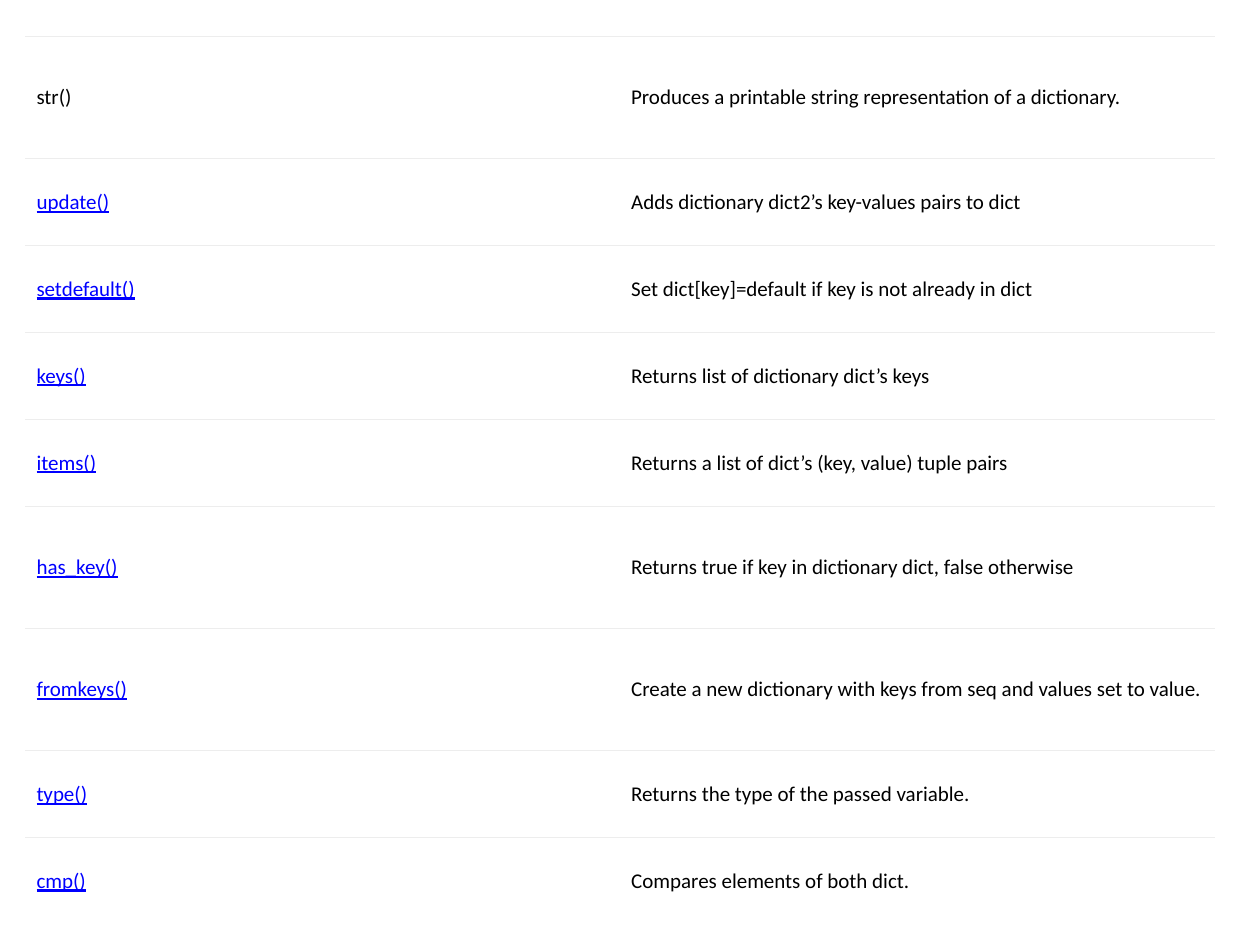
from dataclasses import dataclass

from lxml import etree
from pptx import Presentation
from pptx import util as u
from pptx.dml.color import RGBColor
from pptx.enum import text
from pptx.oxml import ns


@dataclass(frozen=True)
class Theme:
    font: str = "Calibri"
    size: float = 12
    ink: str = "000000"
    link: str = "0000FF"
    paper: str = "FFFFFF"
    rule: str = "EDEDED"
    rule_width: float = 0.75


THEME = Theme()
TALL, NORMAL = 0.97, 0.69
COLUMN_WIDTH = 4.72

# Function, description, row height
METHODS = [
    ("str()", "Produces a printable string representation of a dictionary.", TALL),
    ("update()", "Adds dictionary dict2’s key-values pairs to dict", NORMAL),
    ("setdefault()", "Set dict[key]=default if key is not already in dict", NORMAL),
    ("keys()", "Returns list of dictionary dict’s keys", NORMAL),
    ("items()", "Returns a list of dict’s (key, value) tuple pairs", NORMAL),
    ("has_key()", "Returns true if key in dictionary dict, false otherwise", TALL),
    ("fromkeys()", "Create a new dictionary with keys from seq and values set to value.", TALL),
    ("type()", "Returns the type of the passed variable.", NORMAL),
    ("cmp()", "Compares elements of both dict.", NORMAL),
]


def set_borders(cell, ruled):
    """Rule the named sides (T, B) and clear the others."""
    tc_pr = cell._tc.get_or_add_tcPr()
    for i, side in enumerate("LRTB"):
        ln = etree.Element(ns.qn(f"a:ln{side}"), w=str(u.Pt(THEME.rule_width)))
        if side in ruled:
            fill = etree.SubElement(ln, ns.qn("a:solidFill"))
            etree.SubElement(fill, ns.qn("a:srgbClr"), val=THEME.rule)
        else:
            etree.SubElement(ln, ns.qn("a:noFill"))
        tc_pr.insert(i, ln)


def fill_cell(cell, words, linked, ruled):
    cell.fill.solid()
    cell.fill.fore_color.rgb = RGBColor.from_string(THEME.paper)
    cell.vertical_anchor = text.MSO_ANCHOR.MIDDLE
    cell.margin_left = cell.margin_right = u.Inches(0.09)
    cell.margin_top = cell.margin_bottom = u.Inches(0.05)
    p = cell.text_frame.paragraphs[0]
    p.text = words
    font = p.runs[0].font
    font.name, font.size = THEME.font, u.Pt(THEME.size)
    font.bold, font.underline = False, linked
    font.color.rgb = RGBColor.from_string(THEME.link if linked else THEME.ink)
    set_borders(cell, ruled)


def add_method_table(s, methods, left, top):
    height = sum(row_height for _, _, row_height in methods)
    frame = s.shapes.add_table(len(methods), 2, u.Inches(left), u.Inches(top),
                               u.Inches(2 * COLUMN_WIDTH), u.Inches(height))
    table = frame.table
    table.first_row = table.horz_banding = False
    for column in table.columns:
        column.width = u.Inches(COLUMN_WIDTH)
    for i, (name, description, row_height) in enumerate(methods):
        table.rows[i].height = u.Inches(row_height)
        # The last row stays open at the bottom
        ruled = "T" if i == len(methods) - 1 else "TB"
        # Every name but the first looks like a link
        fill_cell(table.cell(i, 0), name, i > 0, ruled)
        fill_cell(table.cell(i, 1), description, False, ruled)


def main():
    prs = Presentation()
    prs.slide_width, prs.slide_height = u.Inches(10), u.Inches(7.5)
    s = prs.slides.add_slide(prs.slide_layouts[6])
    add_method_table(s, METHODS, 0.2, 0.29)
    prs.save("out.pptx")


main()
